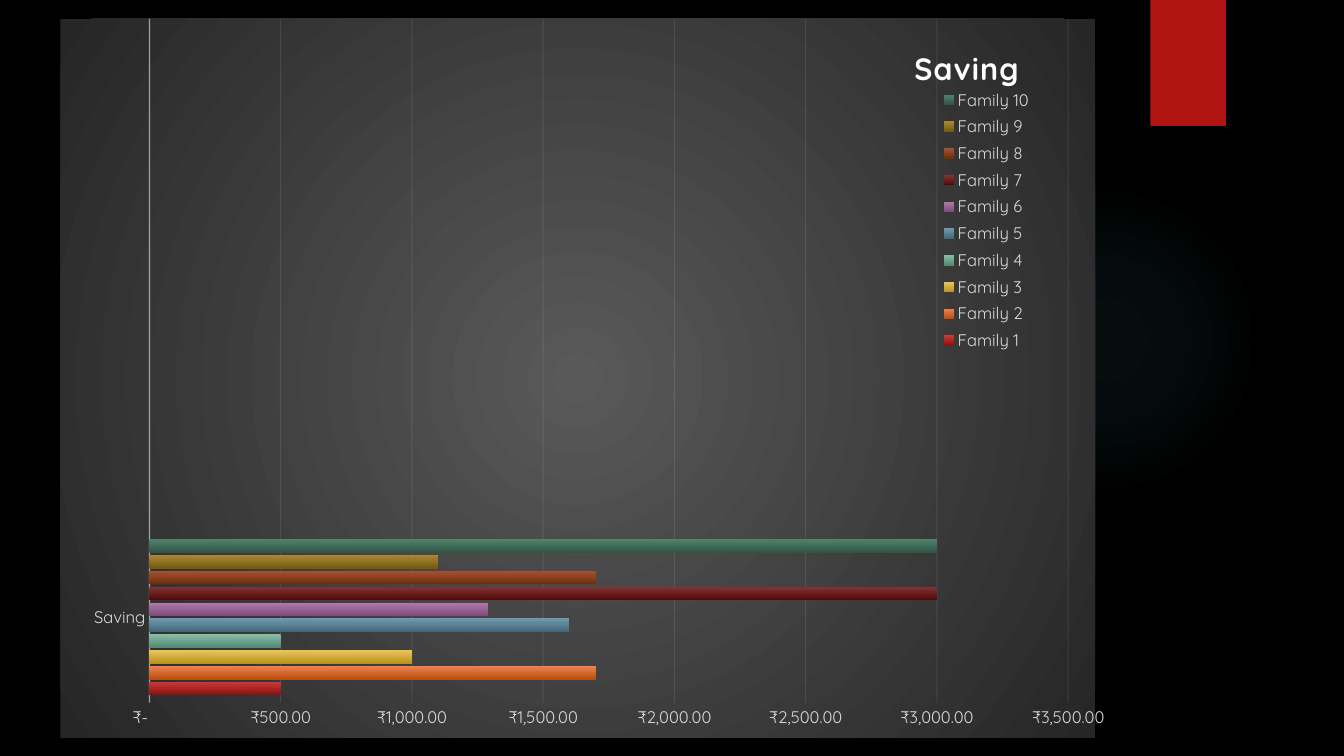
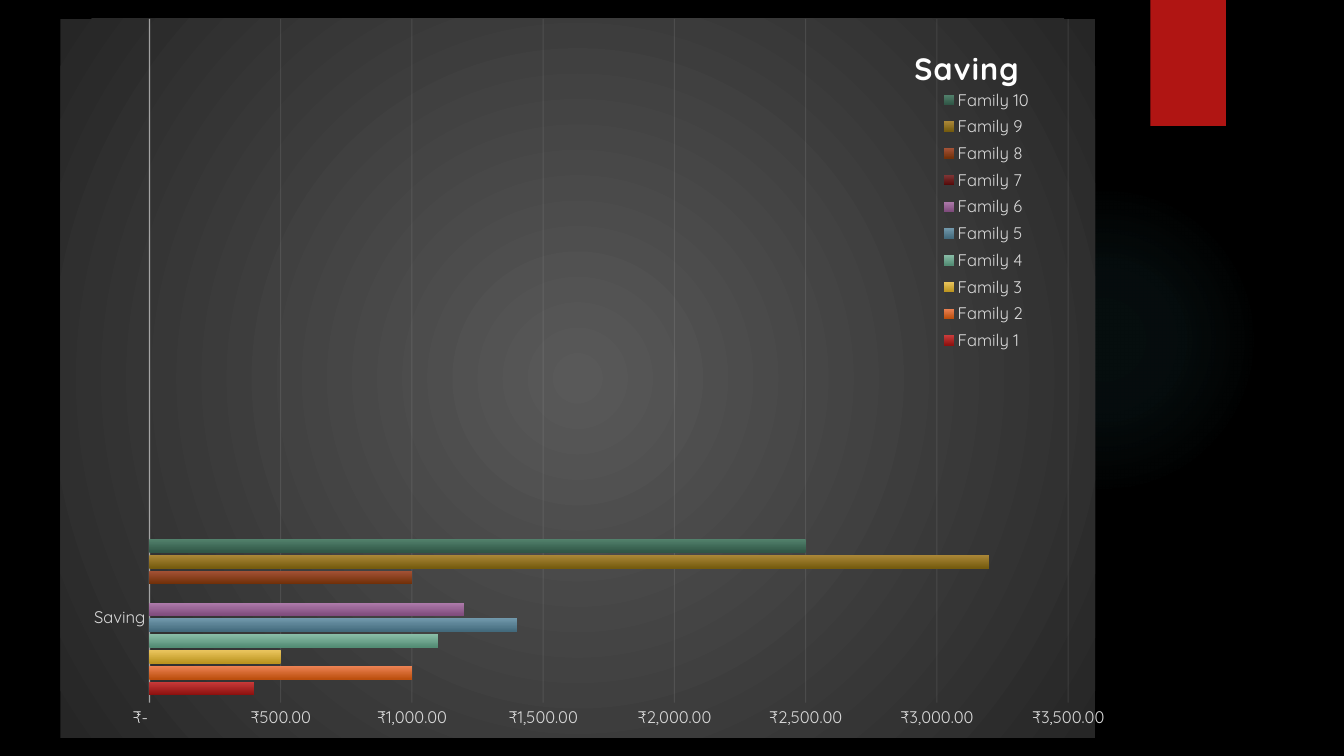
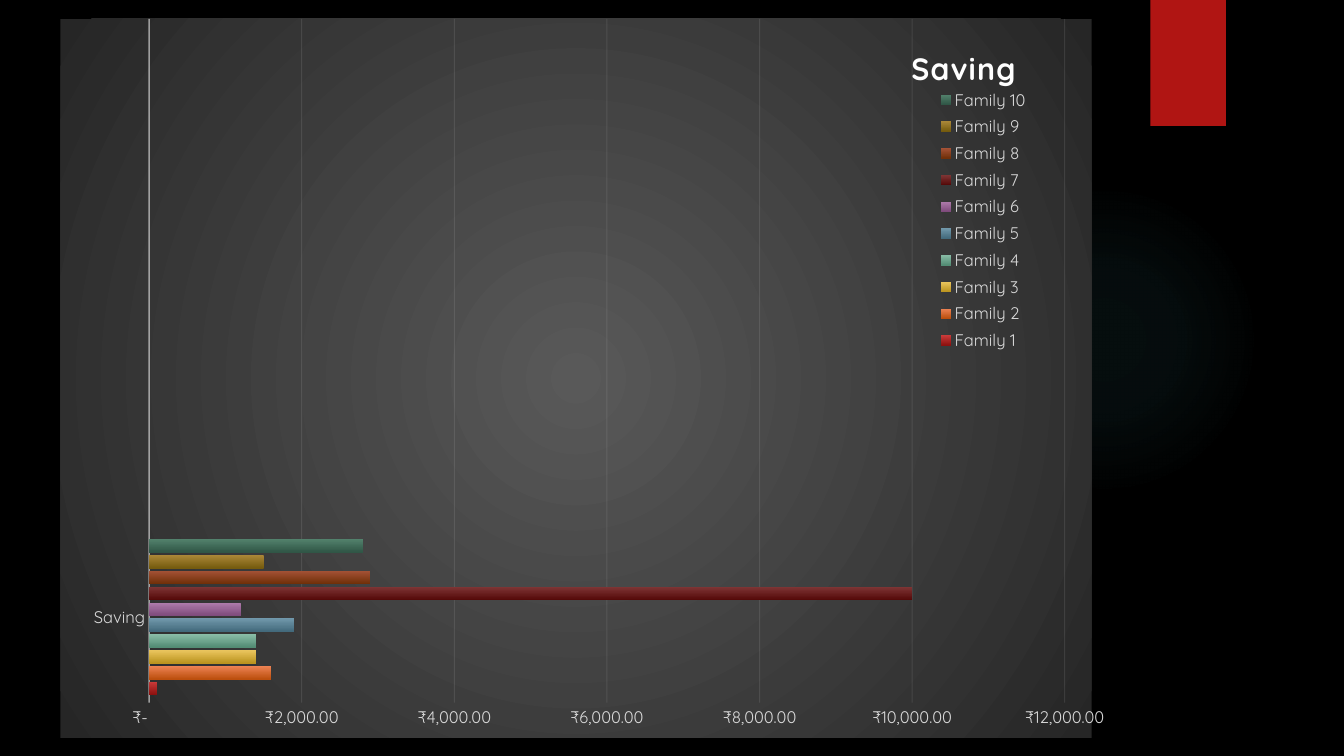
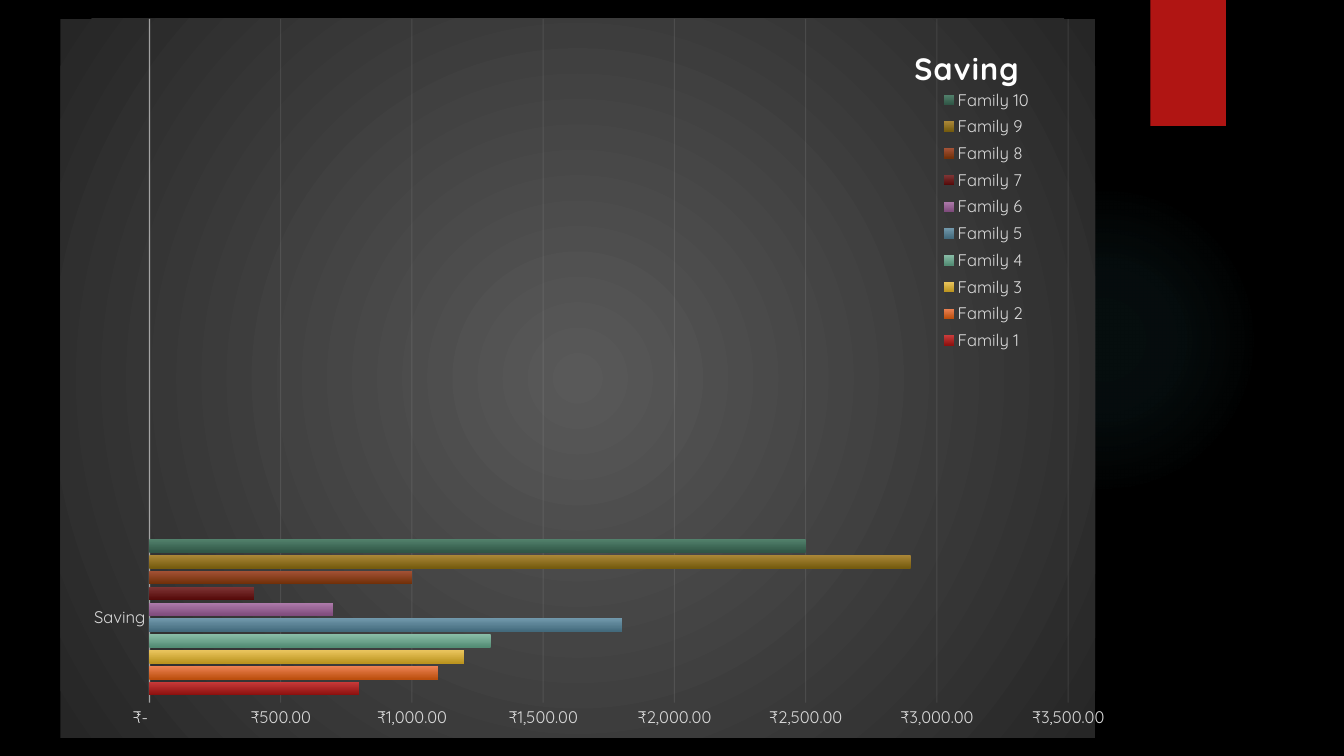
"""Build four slides that chart the savings of ten families."""
import pptx
import pptx.chart.data
import pptx.dml.color
import pptx.enum.chart
import pptx.enum.shapes
import pptx.oxml
import pptx.oxml.ns
import pptx.util

RGB = pptx.dml.color.RGBColor.from_string
BLACK = RGB("000000")
WHITE = RGB("FFFFFF")
RED = RGB("B01513")
TEAL = RGB("50B9C1")
LABEL_GREY = RGB("D9D9D9")
LINE_GREY = RGB("F2F2F2")
PANEL_CENTRE = RGB("595959")
PANEL_EDGE = RGB("262626")
FAMILY_COLOURS = [
    (RGB("C93B3A"), RGB("8D110F")),
    (RGB("EE8455"), RGB("BC4F0E")),
    (RGB("EBC65F"), RGB("BB941F")),
    (RGB("89BDA7"), RGB("538C74")),
    (RGB("7198AB"), RGB("436A7C")),
    (RGB("AF7CAC"), RGB("7F4B7C")),
    (RGB("7F3636"), RGB("550A09")),
    (RGB("A45236"), RGB("713009")),
    (RGB("AA8737"), RGB("755B0E")),
    (RGB("52816C"), RGB("305646")),
]
SAVINGS = [
    [500, 1700, 1000, 500, 1600, 1290, 3000, 1700, 1100, 3000],
    [400, 1000, 500, 1100, 1400, 1200, 0, 1000, 3200, 2500],
    [100, 1600, 1400, 1400, 1900, 1200, 10000, 2900, 1500, 2800],
    [800, 1100, 1200, 1300, 1800, 700, 400, 1000, 2900, 2500],
]
FONT = "Quicksand"
RUPEES = '_ [$₹-4009]* #,##0.00_ ;_ [$₹-4009]* -#,##0.00_ ;_ [$₹-4009]* "-"??_ ;_ @_ '
NAMESPACES = pptx.oxml.ns.nsdecls("a", "c")
PREFIXES = {prefix: pptx.oxml.ns.nsuri(prefix) for prefix in ("a", "c")}
WIDTH, HEIGHT = 13.33, 7.5
COLUMNS, ROWS = 13.33, 7.5


def element(tag, attributes="", content=""):
    """Return a new XML element of the drawing or chart vocabulary."""
    return pptx.oxml.parse_xml(f"<{tag} {NAMESPACES} {attributes}>{content}</{tag}>")


def radial(stops):
    """Return a gradient that spreads from the centre through (share, colour, opacity) stops."""
    marks = "".join(
        f'<a:gs pos="{share * 1000}"><a:srgbClr val="{colour}">'
        f'<a:alpha val="{opacity * 1000}"/></a:srgbClr></a:gs>'
        for share, colour, opacity in stops)
    centre = '<a:fillToRect l="50000" t="50000" r="50000" b="50000"/>'
    return element("a:gradFill", 'rotWithShape="1"',
                   f'<a:gsLst>{marks}</a:gsLst><a:path path="circle">{centre}</a:path>')


class Deck:
    """Hold the style and the current slide."""

    def __init__(self):
        """Start a presentation on a black background."""
        self.presentation = pptx.Presentation()
        self.presentation.slide_width = pptx.util.Inches(WIDTH)
        self.presentation.slide_height = pptx.util.Inches(HEIGHT)
        background = self.presentation.slide_master.background.fill
        background.solid()
        background.fore_color.rgb = BLACK
        self.slide = None

    def area(self, column, row, columns, rows):
        """Return left, top, width and height of a block of the grid."""
        across = pptx.util.Inches(WIDTH / COLUMNS)
        down = pptx.util.Inches(HEIGHT / ROWS)
        return [int(length) for length in
                (column * across, row * down, columns * across, rows * down)]

    def add_slide(self):
        """Add a slide with the glow and the red ribbon."""
        self.slide = self.presentation.slides.add_slide(self.presentation.slide_layouts[6])
        shapes = pptx.enum.shapes.MSO_SHAPE
        glow = self.add_shape(shapes.OVAL, TEAL, 9.41, 1.83, 3.08, 3.08).element.spPr
        glow.replace(glow.find("a:solidFill", PREFIXES),
                     radial([(0, TEAL, 7), (36, TEAL, 6), (69, TEAL, 0)]))
        ribbon = self.add_shape(shapes.RECTANGLE, RED, 11.41, 0, 0.75, 1.25).element.spPr
        ribbon.find("a:effectLst", PREFIXES).append(element(
            "a:outerShdw", 'blurRad="38100" dist="25400" dir="5400000" rotWithShape="0"',
            '<a:srgbClr val="000000"><a:alpha val="45000"/></a:srgbClr>'))

    def add_shape(self, outline, colour, *block):
        """Add a plain filled shape."""
        shape = self.slide.shapes.add_shape(outline, *self.area(*block))
        shape.shadow.inherit = False
        shape.fill.solid()
        shape.fill.fore_color.rgb = colour
        shape.line.fill.background()
        return shape

    def style_font(self, font, size, colour):
        """Set the deck's typeface with a size and a colour."""
        font.name = FONT
        font.size = pptx.util.Pt(size)
        font.color.rgb = colour

    def style_line(self, line, width, colour_place, opacity):
        """Draw a grey line and make its colour translucent."""
        line.width = pptx.util.Pt(width)
        line.color.rgb = LINE_GREY
        colour = colour_place.find(".//a:ln//a:srgbClr", PREFIXES)
        colour.append(element("a:alpha", f'val="{opacity * 1000}"'))

    def place(self, part, inner=False, **shares):
        """Fix a part of the chart at shares of the chart's size."""
        modes = "".join(f'<c:{side}Mode val="edge"/>' for side in "xy")
        sizes = "".join(f'<c:{side} val="{share}"/>' for side, share in shares.items())
        target = '<c:layoutTarget val="inner"/>' if inner else ""
        layout = element("c:layout", "",
                         f"<c:manualLayout>{target}{modes}{sizes}</c:manualLayout>")
        present = part.find("c:layout", PREFIXES)
        if present is None:
            part.insert(0, layout)
        else:
            part.replace(present, layout)

    def add_savings(self, savings):
        """Add the bar chart of one saving per family."""
        table = pptx.chart.data.CategoryChartData(number_format=RUPEES)
        table.categories = ["Saving", "", "", ""]
        for number, saving in enumerate(savings, 1):
            table.add_series(f"Family {number}", [saving, None, None, None])
        chart = self.slide.shapes.add_chart(
            pptx.enum.chart.XL_CHART_TYPE.BAR_CLUSTERED,
            *self.area(0.6, 0.18, 10.4, 7.14), table).chart
        self.style_font(chart.font, 10, WHITE)
        panel = element("c:spPr")
        panel.append(radial([(0, PANEL_CENTRE, 100), (100, PANEL_EDGE, 100)]))
        panel.append(element("a:ln", "", "<a:noFill/>"))
        chart.element.find("c:chart", PREFIXES).addnext(panel)
        self.place(chart.element.find(".//c:plotArea", PREFIXES), inner=True,
                   x=0.086, y=0, w=0.888, h=0.951)
        self.style_bars(chart.plots[0])
        self.style_axes(chart)
        self.add_heading(chart)
        self.add_legend(chart)

    def style_bars(self, bars):
        """Space the bars and give each family its gradient."""
        bars.gap_width = 115
        bars.overlap = -20
        bars.vary_by_categories = False
        for family, colours in zip(bars.series, FAMILY_COLOURS):
            family.invert_if_negative = False
            fill = family.format.fill
            fill.gradient()
            fill.gradient_angle = 270
            for stop, colour in zip(fill.gradient_stops, colours):
                stop.color.rgb = colour

    def style_axes(self, chart):
        """Style both axes and the gridlines."""
        for axis in (chart.category_axis, chart.value_axis):
            axis.major_tick_mark = pptx.enum.chart.XL_TICK_MARK.NONE
            axis.minor_tick_mark = pptx.enum.chart.XL_TICK_MARK.NONE
            self.style_font(axis.tick_labels.font, 12, LABEL_GREY)
        amounts = chart.value_axis
        amounts.tick_labels.number_format = RUPEES
        amounts.tick_labels.number_format_is_linked = False
        amounts.has_major_gridlines = True
        gridlines = amounts.major_gridlines.format.line
        self.style_line(gridlines, 0.75,
                        chart.element.find(".//c:majorGridlines", PREFIXES), 10)
        amounts.format.line.fill.background()
        self.style_line(chart.category_axis.format.line, 1,
                        chart.element.find(".//c:catAx", PREFIXES), 54)

    def add_heading(self, chart):
        """Write the chart title over the plot."""
        chart.has_title = True
        heading = chart.chart_title.text_frame.paragraphs[0].add_run()
        heading.text = "Saving"
        self.style_font(heading.font, 22, WHITE)
        heading.font.bold = True
        title = chart.element.find(".//c:title", PREFIXES)
        title.find(".//a:r/a:rPr", PREFIXES).set("spc", "100")
        title.find("c:overlay", PREFIXES).set("val", "1")
        self.place(title, x=0.82, y=0.03)

    def add_legend(self, chart):
        """List the families under the chart title."""
        chart.has_legend = True
        chart.legend.position = pptx.enum.chart.XL_LEGEND_POSITION.CORNER
        chart.legend.include_in_layout = False
        self.style_font(chart.legend.font, 12, LABEL_GREY)
        self.place(chart.element.find(".//c:legend", PREFIXES),
                   x=0.82, y=0.09, w=0.15, h=0.38)


def main():
    """Build and save the deck."""
    deck = Deck()
    for savings in SAVINGS:
        deck.add_slide()
        deck.add_savings(savings)
    deck.presentation.save("out.pptx")


if __name__ == "__main__":
    main()
